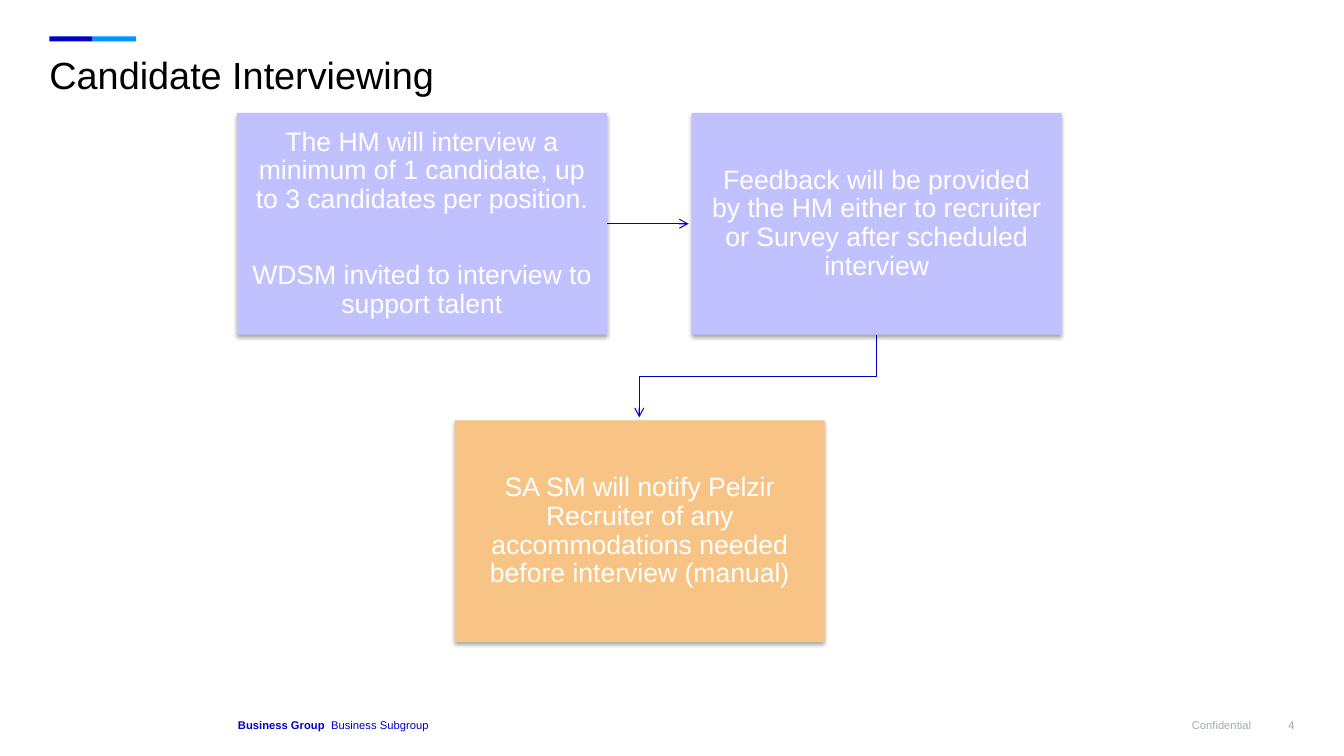
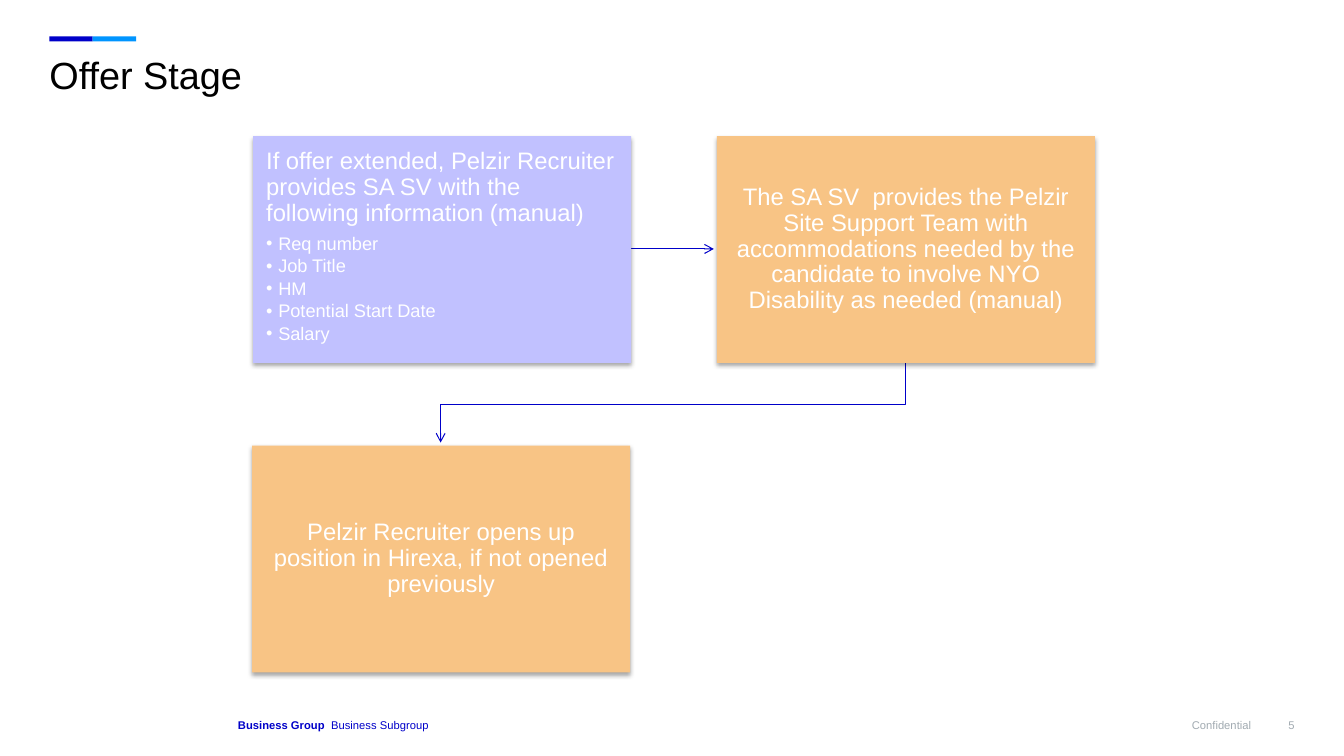
from dataclasses import dataclass
from typing import NamedTuple

from pptx import Presentation
from pptx import util as u
from pptx.dml import color
from pptx.enum import shapes, text
from pptx.oxml import ns, xmlchemy

PX = 9144  # EMU per px, 100 px to the inch


@dataclass(frozen=True)
class Theme:
    font: str = "Arial"
    navy: str = "0000C9"
    sky: str = "0095FF"
    lilac: str = "C1C1FF"
    peach: str = "F8C485"
    grey: str = "A1AAB1"
    black: str = "000000"
    white: str = "FFFFFF"
    title: int = 27
    large: int = 19
    body: int = 17
    item: int = 13
    foot: int = 8


T = Theme()
LEFT, MID, RIGHT = text.PP_ALIGN.LEFT, text.PP_ALIGN.CENTER, text.PP_ALIGN.RIGHT
TOP, CORE, BASE = text.MSO_ANCHOR.TOP, text.MSO_ANCHOR.MIDDLE, text.MSO_ANCHOR.BOTTOM


class Area(NamedTuple):
    x: int
    y: int
    w: int
    h: int

    def emu(self) -> list[int]:
        return [v * PX for v in self]


class Run(NamedTuple):
    words: str
    size: int
    tint: str = T.white
    bold: bool = False


class Para(NamedTuple):
    runs: list[Run]
    align: text.PP_ALIGN = MID
    lead: float = 0.9
    after: int = 0
    dot: bool = False


class Box(NamedTuple):
    x: int
    y: int
    fill: str
    paras: list[Para]
    anchor: text.MSO_ANCHOR = CORE


class Page(NamedTuple):
    num: int
    title: str
    wide: int
    high: int
    inset: int
    boxes: list[Box]


def rgb(tint: str) -> color.RGBColor:
    return color.RGBColor.from_string(tint)


def node(tag: str, **attrs: object):
    """Make one drawing element with its attributes."""
    made = xmlchemy.OxmlElement(tag)
    for key, val in attrs.items():
        made.set(key, str(val))
    return made


# Text
def write(frame, paras: list[Para], anchor, pad: tuple[int, int]) -> None:
    frame.word_wrap = True
    frame.vertical_anchor = anchor
    frame.margin_left = frame.margin_right = pad[0] * PX
    frame.margin_top = frame.margin_bottom = pad[1] * PX
    for i, para in enumerate(paras):
        p = frame.add_paragraph() if i else frame.paragraphs[0]
        p.alignment, p.line_spacing = para.align, para.lead
        p.space_after = u.Pt(para.after)
        if para.dot:
            props = p._p.get_or_add_pPr()
            props.set("marL", str(12 * PX))
            props.set("indent", str(-12 * PX))
            props.append(node("a:buFont", typeface=T.font))
            props.append(node("a:buChar", char="•"))
        for run in para.runs:
            r = p.add_run()
            r.text = run.words
            r.font.name, r.font.size = T.font, u.Pt(run.size)
            r.font.bold, r.font.color.rgb = run.bold, rgb(run.tint)


def label(slide, area: Area, para: Para, anchor=BASE, pad=(0, 0)) -> None:
    write(slide.shapes.add_textbox(*area.emu()).text_frame, [para], anchor, pad)


# Shapes
def block(slide, area: Area, fill: str):
    shape = slide.shapes.add_shape(shapes.MSO_SHAPE.RECTANGLE, *area.emu())
    shape.shadow.inherit = False
    shape.fill.solid()
    shape.fill.fore_color.rgb = rgb(fill)
    shape.line.fill.background()
    return shape


def shade(shape) -> None:
    """Cast a soft shadow straight down."""
    glow = node("a:outerShdw", blurRad=u.Pt(3.1), dist=u.Pt(1.8),
                dir=90 * 60000, algn="ctr", rotWithShape=0)
    tone = node("a:srgbClr", val=T.black)
    tone.append(node("a:alpha", val=35000))
    glow.append(tone)
    shape._element.spPr.find(ns.qn("a:effectLst")).append(glow)


def point(line_shape) -> None:
    """Style a line and give its end an open arrowhead."""
    line_shape.line.color.rgb = rgb(T.navy)
    line_shape.line.width = u.Pt(0.75)
    props = line_shape._element.spPr
    props.find(ns.qn("a:ln")).append(node("a:tailEnd", type="arrow"))
    if props.find(ns.qn("a:effectLst")) is None:
        props.append(node("a:effectLst"))


def link(slide, page: Page) -> None:
    """Join the first box to the second, and the second to the third."""
    one, two, three = page.boxes
    gap = 3
    y = one.y + page.high // 2
    ends = (one.x + page.wide, y, two.x - gap, y)
    point(slide.shapes.add_connector(shapes.MSO_CONNECTOR.STRAIGHT,
                                     *(v * PX for v in ends)))

    start, stop = two.x + page.wide // 2, three.x + page.wide // 2
    low = two.y + page.high
    turn = (low + three.y) // 2
    pen = slide.shapes.build_freeform(start * PX, low * PX)
    pen.add_line_segments([(x * PX, v * PX) for x, v in (
        (start, turn), (stop, turn), (stop, three.y - gap))], close=False)
    bend = pen.convert_to_shape()
    bend.shadow.inherit = False
    bend.fill.background()
    point(bend)


def frame(slide, page: Page) -> None:
    """Draw the accent bar, footer and title."""
    for i, tint in enumerate((T.navy, T.sky)):
        block(slide, Area(49 + 43 * i, 36, 43, 5), tint)
    label(slide, Area(236, 689, 408, 37), Para([
        Run("Business Group", T.foot, T.navy, True),
        Run("  Business Subgroup", T.foot, T.navy)], LEFT))
    for x, wide, words in ((1244, 40, str(page.num)), (656, 585, "Confidential")):
        label(slide, Area(x, 689, wide, 37),
              Para([Run(words, T.foot, T.grey)], RIGHT))
    label(slide, Area(49, 53, 1235, 93),
          Para([Run(page.title, T.title, T.black)], LEFT, 0.85), TOP, (0, 5))


def draw(deck, page: Page) -> None:
    slide = deck.slides.add_slide(deck.slide_layouts[6])
    frame(slide, page)
    link(slide, page)
    for box in page.boxes:
        shape = block(slide, Area(box.x, box.y, page.wide, page.high), box.fill)
        shade(shape)
        write(shape.text_frame, box.paras, box.anchor, (page.inset, page.inset))


# Content
def large(words: str, after: int = 0) -> Para:
    return Para([Run(words, T.large)], after=after)


def body(words: str, align=MID, after: int = 0) -> Para:
    return Para([Run(words, T.body)], align, after=after)


ITEMS = ("Req number", "Job Title", "HM", "Potential Start Date", "Salary")

PAGES = [
    Page(4, "Candidate Interviewing", 367, 220, 15, [
        Box(235, 112, T.lilac, [
            large("The HM will interview a minimum of 1 candidate, "
                  "up to 3 candidates per position.", 34),
            large("WDSM invited to interview to support talent")]),
        Box(686, 112, T.lilac, [
            large("Feedback will be provided by the HM either to recruiter "
                  "or Survey after scheduled interview")]),
        Box(451, 417, T.peach, [
            large("SA SM will notify Pelzir Recruiter of any accommodations "
                  "needed before interview (manual)")]),
    ]),
    Page(5, "Offer Stage", 375, 225, 13, [
        Box(251, 135, T.lilac, [
            body("If offer extended, Pelzir Recruiter provides SA SV with the "
                 "following information (manual)", LEFT, 6),
            *(Para([Run(item, T.item)], LEFT, after=2, dot=True)
              for item in ITEMS)], TOP),
        Box(711, 135, T.peach, [
            body("The SA SV  provides the Pelzir Site Support Team with "
                 "accommodations needed by the candidate to involve NYO "
                 "Disability as needed (manual)")]),
        Box(250, 442, T.peach, [
            body("Pelzir Recruiter opens up position in Hirexa, "
                 "if not opened previously")]),
    ]),
]


def main() -> None:
    deck = Presentation()
    deck.slide_width, deck.slide_height = 1333 * PX, 750 * PX
    for page in PAGES:
        draw(deck, page)
    deck.save("out.pptx")


if __name__ == "__main__":
    main()
